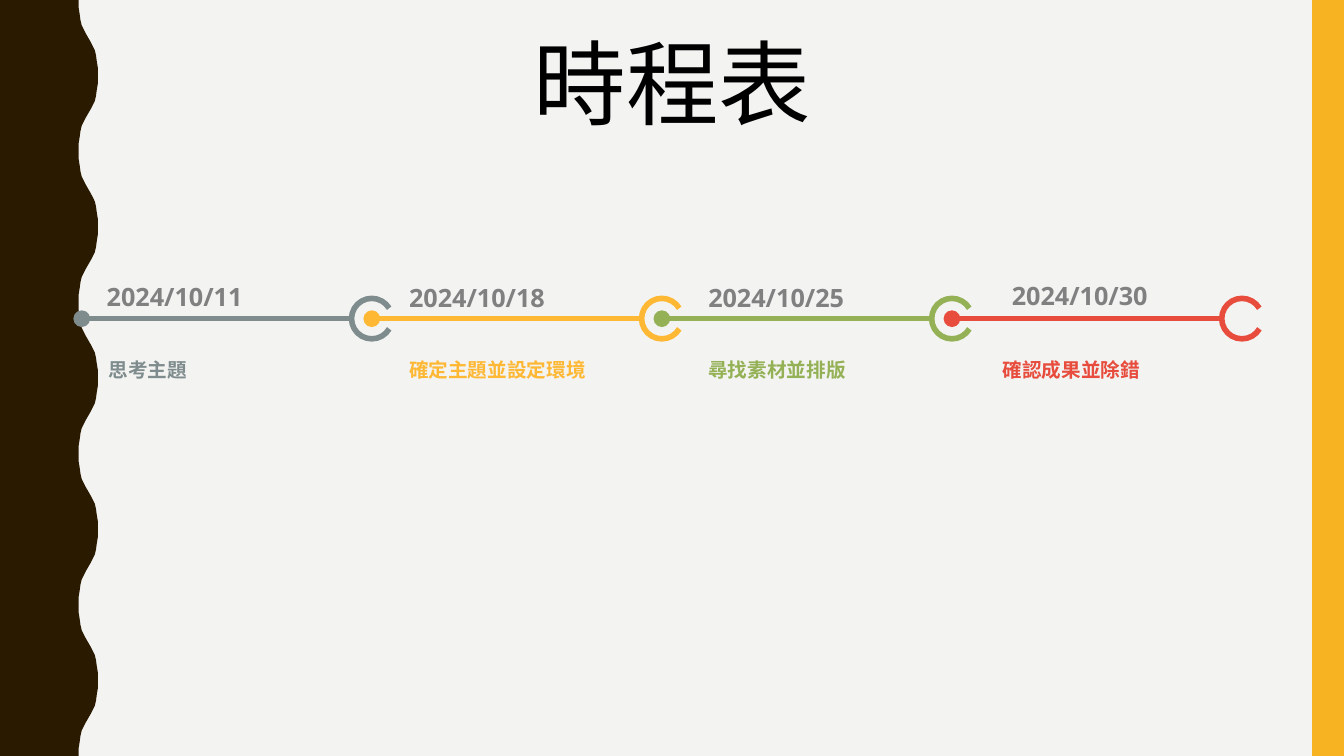
from lxml.etree import SubElement
from pptx import Presentation
from pptx.dml.color import RGBColor
from pptx.enum.shapes import MSO_CONNECTOR, MSO_SHAPE
from pptx.enum.text import MSO_ANCHOR, MSO_AUTO_SIZE, PP_ALIGN
from pptx.oxml.ns import qn
from pptx.util import Cm, Pt

WIDE, HIGH = 33.87, 19.05
WAVE = 3.81
BEND = [(1.98, 0), (1.98, 0.18), (2.01, 0.36), (2.03, 0.51),
        (2.06, 0.64), (2.11, 0.74), (2.16, 0.84)]
START, STEP, AXIS = 2.06, 7.31, 8.03
RING = 1.02
STAGES = [
    ("2024/10/11", 2.44, 6.96, "思考主題", 2.49, "7F8C8D"),
    ("2024/10/18", 10.06, 6.98, "確定主題並設定環境", 10.06, "FEB834"),
    ("2024/10/25", 17.6, 6.98, "尋找素材並排版", 17.6, "94B155"),
    ("2024/10/30", 25.25, 6.93, "確認成果並除錯", 25.02, "E74C3C"),
]


def paint(tone):
    """Turn a hex string into a colour."""
    return RGBColor.from_string(tone)


class Deck:
    """Hold the style and the current slide."""

    latin = "Open Sans"
    asian = "Noto Sans CJK SC"
    weight = Pt(4)

    def __init__(self):
        """Open a deck with one titled slide."""
        self.file = Presentation()
        self.file.slide_width, self.file.slide_height = Cm(WIDE), Cm(HIGH)
        self.slide = self.file.slides.add_slide(self.file.slide_layouts[5])
        self.shapes = self.slide.shapes
        fill = self.slide.background.fill
        fill.solid()
        fill.fore_color.rgb = paint("F3F3F2")

    def flat(self, shape, tone):
        """Fill a shape with one colour and no outline."""
        shape.shadow.inherit = False
        shape.fill.solid()
        shape.fill.fore_color.rgb = paint(tone)
        shape.line.fill.background()

    def edge(self, tone):
        """Draw the wavy band on the left."""
        half = BEND + [(4.45 - x, WAVE / 2 - y) for x, y in reversed(BEND)]
        full = half + [(x, WAVE - y) for x, y in reversed(half)]
        points = [(Cm(x), Cm(y + WAVE * turn))
                  for turn in range(5) for x, y in full]
        form = self.shapes.build_freeform(0, 0)
        form.add_line_segments(points + [(0, Cm(HIGH))], close=True)
        self.flat(form.convert_to_shape(), tone)

    def bar(self, left, wide, tone):
        """Draw a band of full height."""
        shape = self.shapes.add_shape(
            MSO_SHAPE.RECTANGLE, Cm(left), 0, Cm(wide), Cm(HIGH))
        self.flat(shape, tone)

    def line(self, left, wide, tone):
        """Draw a line that starts with a dot."""
        line = self.shapes.add_connector(
            MSO_CONNECTOR.STRAIGHT,
            Cm(left), Cm(AXIS), Cm(left + wide), Cm(AXIS))
        line.line.width = self.weight
        line.line.color.rgb = paint(tone)
        stroke = line._element.spPr.find(qn("a:ln"))
        SubElement(stroke, qn("a:headEnd"), type="oval")
        SubElement(line._element.spPr, qn("a:effectLst"))

    def ring(self, left, tone):
        """Draw a ring that is open on the right."""
        arc = self.shapes.add_shape(
            MSO_SHAPE.ARC, Cm(left), Cm(AXIS - RING / 2), Cm(RING), Cm(RING))
        arc.adjustments[0], arc.adjustments[1] = 18.21, 197.52
        arc.shadow.inherit = False
        arc.fill.background()
        arc.line.width = self.weight
        arc.line.color.rgb = paint(tone)

    def style(self, box, text, size, tone, face, bold, wrap):
        """Put styled text into a box."""
        frame = box.text_frame
        frame.text = text
        frame.word_wrap = wrap
        frame.auto_size = MSO_AUTO_SIZE.SHAPE_TO_FIT_TEXT
        frame.vertical_anchor = MSO_ANCHOR.TOP
        para = frame.paragraphs[0]
        font = para.font
        font.name, font.size, font.bold = face, Pt(size), bold
        font.color.rgb = paint(tone)
        base = para._p.pPr.find(qn("a:defRPr"))
        SubElement(base, qn("a:ea"), typeface=self.asian)
        return para

    def title(self, text):
        """Place and style the title."""
        box = self.shapes.title
        box.left, box.top = Cm(13.16), Cm(0.53)
        box.width, box.height = Cm(7.57), Cm(3.07)
        para = self.style(box, text, 66, "000000", self.asian, False, False)
        para.alignment = PP_ALIGN.CENTER

    def label(self, left, top, wide, high, text, size, tone, wrap):
        """Add a bold text box."""
        box = self.shapes.add_textbox(Cm(left), Cm(top), Cm(wide), Cm(high))
        self.style(box, text, size, tone, self.latin, True, wrap)


def main():
    """Build the timeline slide."""
    deck = Deck()
    deck.edge("2A1A00")
    deck.bar(33.07, 0.8, "F8B323")
    deck.title("時程表")
    for i, (date, left, top, task, side, tone) in enumerate(STAGES):
        begin = START + STEP * i
        deck.line(begin, 6.81, tone)
        deck.ring(begin + 6.8, tone)
        deck.label(left, top, 3.96, 1.02, date, 18, "808080", False)
        deck.label(side, 8.89, 5.33, 0.86, task, 14, tone, True)
    deck.file.save("out.pptx")


if __name__ == "__main__":
    main()
